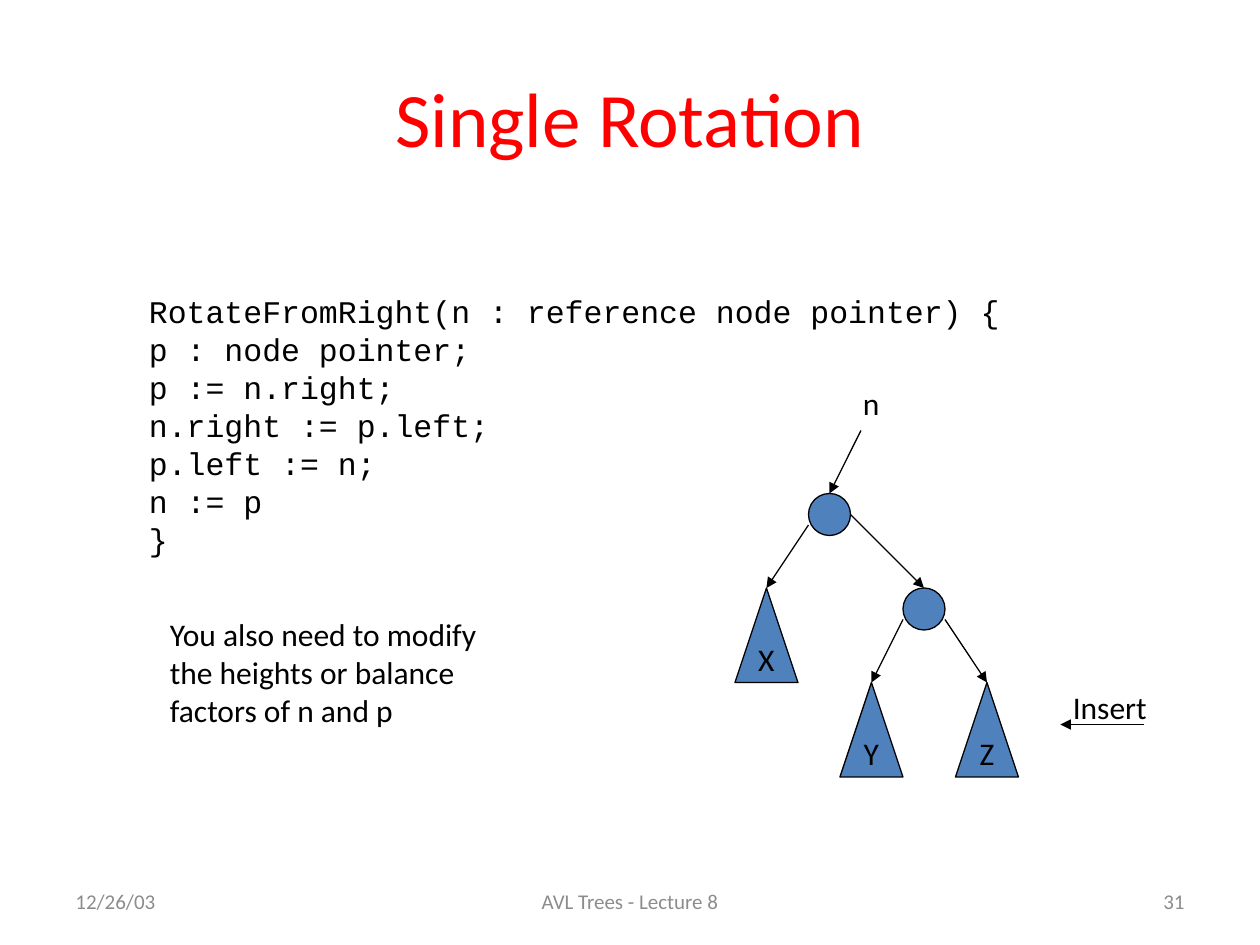
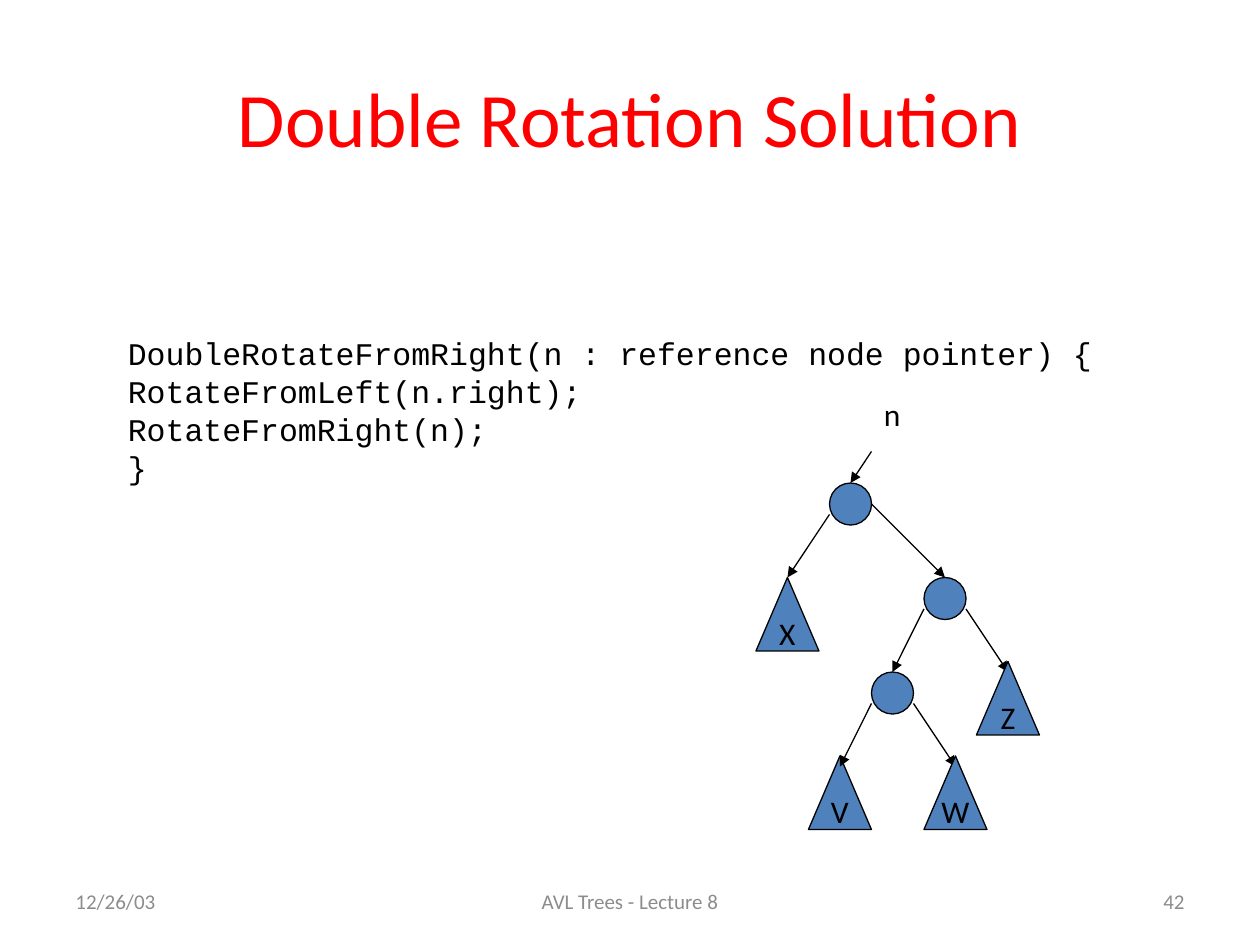
from lxml import etree
from pptx import Presentation
from pptx.dml.color import RGBColor
from pptx.enum.shapes import MSO_CONNECTOR as Connector, MSO_SHAPE as Shape
from pptx.enum.text import MSO_ANCHOR as Anchor, PP_ALIGN as Align
from pptx.oxml.ns import qn
from pptx.util import Cm, Pt

GRID_CM = 2.54 / 12
NODE_SIZE = 4
TREE_WIDTH = 6
LABEL_HEIGHT = 5.15


def grid(*values):
    return [Cm(value * GRID_CM) for value in values]


def color(value):
    return RGBColor.from_string(value)


def set_formats(target, formats):
    for name, value in formats.items():
        setattr(target, name, value)


class Lecture:
    ink = "000000"
    red = "FF0000"
    gray = "8C8C8C"
    blue = "4F81BD"
    body = {"name": "Calibri", "size": Pt(18)}
    heading = {"name": "Calibri", "size": Pt(44)}
    small = {"name": "Calibri", "size": Pt(12)}
    mono = {"name": "Courier New", "size": Pt(18)}

    def __init__(self):
        self.deck = Presentation()
        self.deck.slide_width, self.deck.slide_height = grid(120, 90)
        self.page = None

    def start(self, title, number):
        self.page = self.deck.slides.add_slide(self.deck.slide_layouts[6])
        footers = [
            (6, 28, "12/26/03", Align.LEFT),
            (41, 38, "AVL Trees - Lecture 8", Align.CENTER),
            (86, 28, str(number), Align.RIGHT),
        ]
        for left, width, text, align in footers:
            self.text((left, 83.4, width, 4.8), [text], self.small, self.gray,
                      Anchor.MIDDLE, alignment=align)
        self.text((6, 3.6, 108, 15), [title], self.heading, self.red,
                  Anchor.MIDDLE, alignment=Align.CENTER)

    def paragraphs(self, frame, lines, font, tint, **layout):
        for index, line in enumerate(lines):
            para = frame.paragraphs[0] if index == 0 else frame.add_paragraph()
            set_formats(para, layout)
            span = para.add_run()
            span.text = line
            set_formats(span.font, font)
            span.font.color.rgb = color(tint)

    def text(self, area, lines, font=body, tint=ink, anchor=Anchor.TOP, **layout):
        box = self.page.shapes.add_textbox(*grid(*area))
        set_formats(box.text_frame, {"word_wrap": True, "vertical_anchor": anchor})
        self.paragraphs(box.text_frame, lines, font, tint, **layout)

    def code(self, left, top, width, lines):
        area = (left, top + 0.2, width, 4 * len(lines) + 1.2)
        self.text(area, lines, self.mono, line_spacing=Pt(21.7))

    def label(self, left, top, text, width=4.3):
        self.text((left, top, width, LABEL_HEIGHT), [text])

    def outline(self, kind, *area):
        shape = self.page.shapes.add_shape(kind, *grid(*area))
        shape.shadow.inherit = False
        shape.fill.solid()
        shape.fill.fore_color.rgb = color(self.blue)
        self.stroke(shape.line)
        return shape

    def stroke(self, line):
        line.color.rgb = color(self.ink)
        line.width = Pt(0.75)

    def node(self, left, top):
        return self.outline(Shape.OVAL, left, top, NODE_SIZE, NODE_SIZE)

    def subtree(self, left, top, height, name):
        shape = self.outline(Shape.ISOSCELES_TRIANGLE, left, top, TREE_WIDTH, height)
        set_formats(shape.text_frame, {"word_wrap": False, "vertical_anchor": Anchor.MIDDLE})
        self.paragraphs(shape.text_frame, [name], self.body, self.ink, alignment=Align.CENTER)
        return shape

    def arrow(self, start, end, target=None):
        line = self.page.shapes.add_connector(Connector.STRAIGHT, *grid(*start, *end))
        if target is not None:
            line.end_connect(target, 0)
        self.stroke(line.line)
        properties = line._element.spPr
        tip = etree.SubElement(properties.find(qn("a:ln")), qn("a:tailEnd"))
        tip.set("type", "triangle")
        etree.SubElement(properties, qn("a:effectLst"))


def single_rotation(lecture):
    lecture.start("Single Rotation", 31)
    lecture.code(13, 27, 92.4, [
        "RotateFromRight(n : reference node pointer) {",
        "p : node pointer;",
        "p := n.right;",
        "n.right := p.left;",
        "p.left := n;",
        "n := p",
        "}",
    ])
    root = lecture.node(77, 47)
    child = lecture.node(86, 56)
    tree_x = lecture.subtree(70, 56, 9, "X")
    tree_y = lecture.subtree(80, 65, 9, "Y")
    tree_z = lecture.subtree(91, 65, 9, "Z")
    lecture.arrow((77, 50), (73, 56), tree_x)
    lecture.arrow((81, 49), (88, 56), child)
    lecture.arrow((86, 59), (83, 65), tree_y)
    lecture.arrow((90, 59), (94, 65), tree_z)
    lecture.arrow((82, 41), (79, 47), root)
    lecture.label(81, 36, "n")
    lecture.text((15, 58, 32, 17.2), [
        "You also need to modify the heights or balance factors of n and p",
    ])
    lecture.arrow((109, 69), (101, 69))
    lecture.label(101, 64.9, "Insert", 12)


def double_rotation(lecture):
    lecture.start("Double Rotation Solution", 42)
    lecture.code(11, 31, 104.4, [
        "DoubleRotateFromRight(n : reference node pointer) {",
        "RotateFromLeft(n.right);",
        "RotateFromRight(n);",
        "}",
    ])
    root = lecture.node(79, 46)
    child = lecture.node(88, 55)
    grandchild = lecture.node(83, 64)
    tree_x = lecture.subtree(72, 55, 7, "X")
    lecture.arrow((79, 49), (75, 55), tree_x)
    lecture.arrow((83, 48), (90, 55), child)
    lecture.arrow((88, 58), (85, 64), grandchild)
    lecture.arrow((92, 58), (96, 64))
    lecture.arrow((83, 43), (81, 46), root)
    lecture.label(83, 37, "n")
    lecture.arrow((87, 67), (91, 73))
    for left, top, name in [(77, 72, "V"), (88, 72, "W"), (93, 63, "Z")]:
        lecture.subtree(left, top, 7, name)
    lecture.arrow((83, 67), (80, 73))


def main():
    lecture = Lecture()
    single_rotation(lecture)
    double_rotation(lecture)
    lecture.deck.save("out.pptx")


if __name__ == "__main__":
    main()
